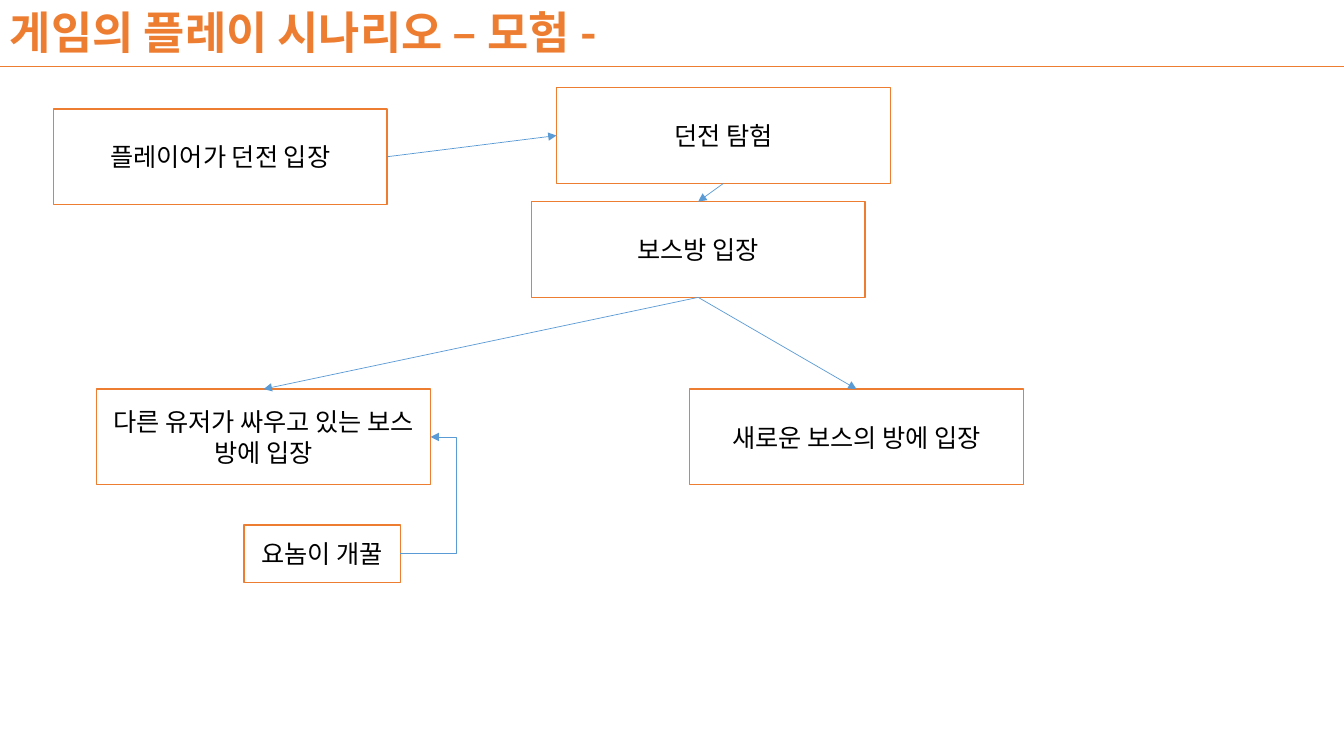
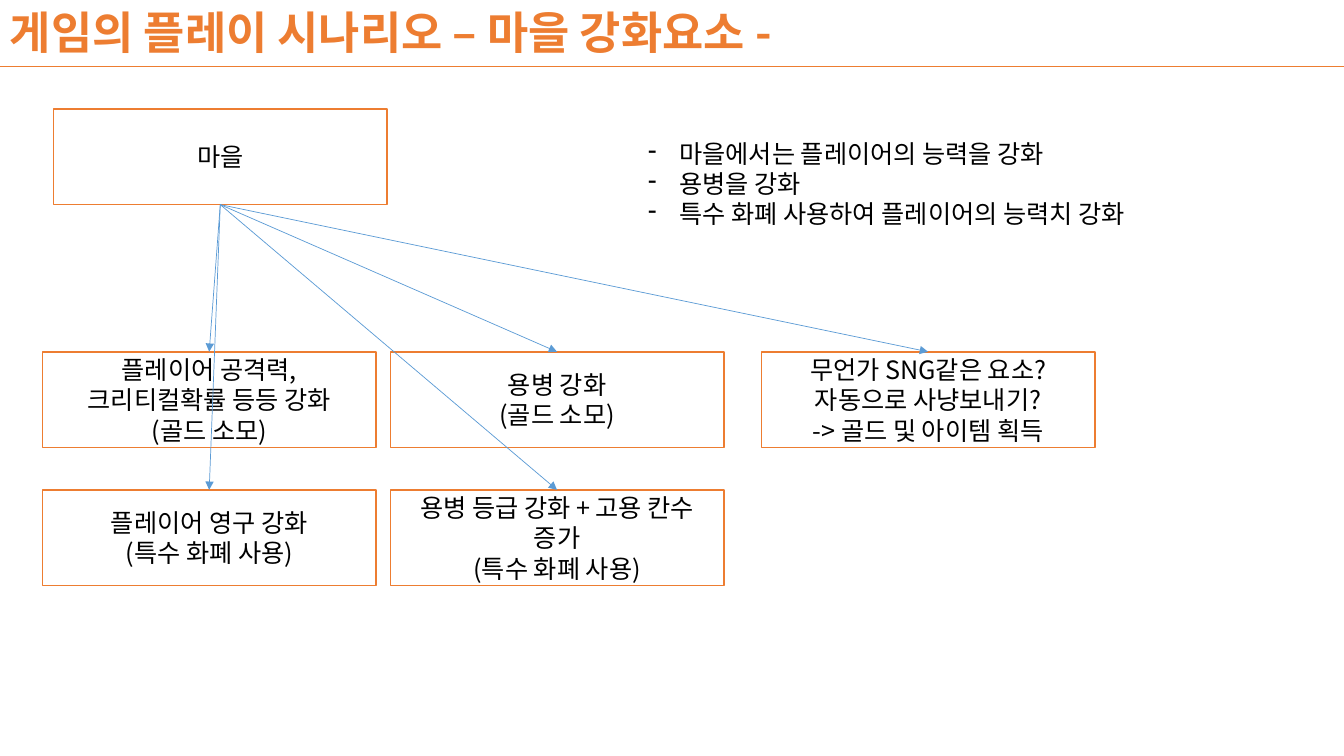
"""Build two game scenario slides: adventure flow and village upgrades."""
from lxml.etree import SubElement
from pptx import Presentation
from pptx.dml.color import RGBColor
from pptx.enum.shapes import MSO_CONNECTOR, MSO_SHAPE
from pptx.enum.text import MSO_ANCHOR, MSO_AUTO_SIZE, PP_ALIGN
from pptx.oxml.ns import qn
from pptx.util import Inches, Pt

STRAIGHT, ELBOW = MSO_CONNECTOR.STRAIGHT, MSO_CONNECTOR.ELBOW
RECTANGLE = MSO_SHAPE.RECTANGLE
TOP, MIDDLE = MSO_ANCHOR.TOP, MSO_ANCHOR.MIDDLE
LEFT, CENTER = PP_ALIGN.LEFT, PP_ALIGN.CENTER
GROW = MSO_AUTO_SIZE.SHAPE_TO_FIT_TEXT
SITE_TOP, SITE_LEFT, SITE_BOTTOM, SITE_RIGHT = range(4)

COLORS = {"accent": "ED7D31", "arrow": "5B9BD5", "text": "000000", "paper": "FFFFFF"}
FONT = "Noto Sans CJK KR"
BOX_SIZE = (3.31, 0.95)
SMALL_SIZE = (1.55, 0.57)
COLUMNS = (0.42, 3.87, 7.55)
ROWS = (3.49, 4.86)


def write(box, lines, size=18, color="text", bold=False, align=LEFT, anchor=TOP, bullet=None):
    """Fill a box with one paragraph per line."""
    frame = box.text_frame
    frame.word_wrap = True
    frame.vertical_anchor = anchor
    for index, line in enumerate(lines):
        para = frame.add_paragraph() if index else frame.paragraphs[0]
        para.alignment = align
        if bullet:
            properties = para._p.get_or_add_pPr()
            properties.set("marL", str(Inches(0.31)))
            properties.set("indent", str(Inches(-0.31)))
            SubElement(properties, qn("a:buChar"), char=bullet)
        span = para.add_run()
        span.text = line
        span.font.size = Pt(size)
        span.font.bold = bold
        span.font.color.rgb = RGBColor.from_string(COLORS[color])
        span.font.name = FONT
        SubElement(span.font._element, qn("a:ea"), typeface=FONT)


def add_line(page, kind, color, start=(0, 0), end=(0, 0)):
    """Add a thin connector without a shadow."""
    line = page.shapes.add_connector(kind, *(Inches(value) for value in start + end))
    line.line.color.rgb = RGBColor.from_string(COLORS[color])
    line.line.width = Pt(0.5)
    SubElement(line.element.spPr, qn("a:effectLst"))
    return line


adventure = {
    "title": "게임의 플레이 시나리오 – 모험 -",
    "notes": [],
    "boxes": {
        "enter": (0.53, 1.08, BOX_SIZE, ["플레이어가 던전 입장"]),
        "explore": (5.52, 0.87, BOX_SIZE, ["던전 탐험"]),
        "boss": (5.27, 2, BOX_SIZE, ["보스방 입장"]),
        "shared room": (0.96, 3.86, BOX_SIZE, ["다른 유저가 싸우고 있는 보스 방에 입장"]),
        "new room": (6.84, 3.86, BOX_SIZE, ["새로운 보스의 방에 입장"]),
        "remark": (2.42, 5.21, SMALL_SIZE, ["요놈이 개꿀"]),
    },
    "arrows": [
        ("enter", SITE_RIGHT, "explore", SITE_LEFT, STRAIGHT),
        ("explore", SITE_BOTTOM, "boss", SITE_TOP, STRAIGHT),
        ("boss", SITE_BOTTOM, "new room", SITE_TOP, STRAIGHT),
        ("boss", SITE_BOTTOM, "shared room", SITE_TOP, STRAIGHT),
        ("remark", SITE_RIGHT, "shared room", SITE_RIGHT, ELBOW),
    ],
}

upgrades = {
    "player": (COLUMNS[0], ROWS[0], BOX_SIZE, ["플레이어 공격력, 크리티컬확률 등등 강화", "(골드 소모)"]),
    "mercenary": (COLUMNS[1], ROWS[0], BOX_SIZE, ["용병 강화", "(골드 소모)"]),
    "social": (COLUMNS[2], ROWS[0], BOX_SIZE,
               ["무언가 SNG같은 요소?", "자동으로 사냥보내기?", "-> 골드 및 아이템 획득"]),
    "permanent": (COLUMNS[0], ROWS[1], BOX_SIZE, ["플레이어 영구 강화", "(특수 화폐 사용)"]),
    "rank": (COLUMNS[1], ROWS[1], BOX_SIZE, ["용병 등급 강화 + 고용 칸수 증가", "(특수 화폐 사용)"]),
}

village = {
    "title": "게임의 플레이 시나리오 – 마을 강화요소 -",
    "notes": ["마을에서는 플레이어의 능력을 강화", "용병을 강화", "특수 화폐 사용하여 플레이어의 능력치 강화"],
    "boxes": {"village": (0.53, 1.08, BOX_SIZE, ["마을"]), **upgrades},
    "arrows": [("village", SITE_BOTTOM, name, SITE_TOP, STRAIGHT) for name in upgrades],
}

deck = Presentation()
deck.slide_width, deck.slide_height = Inches(13.33), Inches(7.5)

for content in (adventure, village):
    page = deck.slides.add_slide(deck.slide_layouts[6])
    add_line(page, STRAIGHT, "accent", (0, 0.66), (13.33, 0.66))
    title = page.shapes.add_textbox(0, 0, Inches(11.05), Inches(0.64))
    write(title, [content["title"]], size=32, color="accent", bold=True)
    title.text_frame.auto_size = GROW

    if content["notes"]:
        notes = page.shapes.add_textbox(Inches(6.33), Inches(1.32), Inches(5.77), Inches(1.01))
        write(notes, content["notes"], bullet="-")
        notes.text_frame.auto_size = GROW

    boxes = {}
    for name, (left, top, size, lines) in content["boxes"].items():
        box = page.shapes.add_shape(RECTANGLE, *(Inches(value) for value in (left, top, *size)))
        box.shadow.inherit = False
        box.fill.solid()
        box.fill.fore_color.rgb = RGBColor.from_string(COLORS["paper"])
        box.line.color.rgb = RGBColor.from_string(COLORS["accent"])
        box.line.width = Pt(1)
        write(box, lines, align=CENTER, anchor=MIDDLE)
        boxes[name] = box

    for source, source_site, target, target_site, kind in content["arrows"]:
        arrow = add_line(page, kind, "arrow")
        arrow.begin_connect(boxes[source], source_site)
        arrow.end_connect(boxes[target], target_site)
        SubElement(arrow.line._get_or_add_ln(), qn("a:tailEnd"), type="triangle")
        if kind == ELBOW:
            adjustments = arrow.element.spPr.find(qn("a:prstGeom")).find(qn("a:avLst"))
            SubElement(adjustments, qn("a:gd"), name="adj1", fmla="val 184500")

deck.save("out.pptx")
